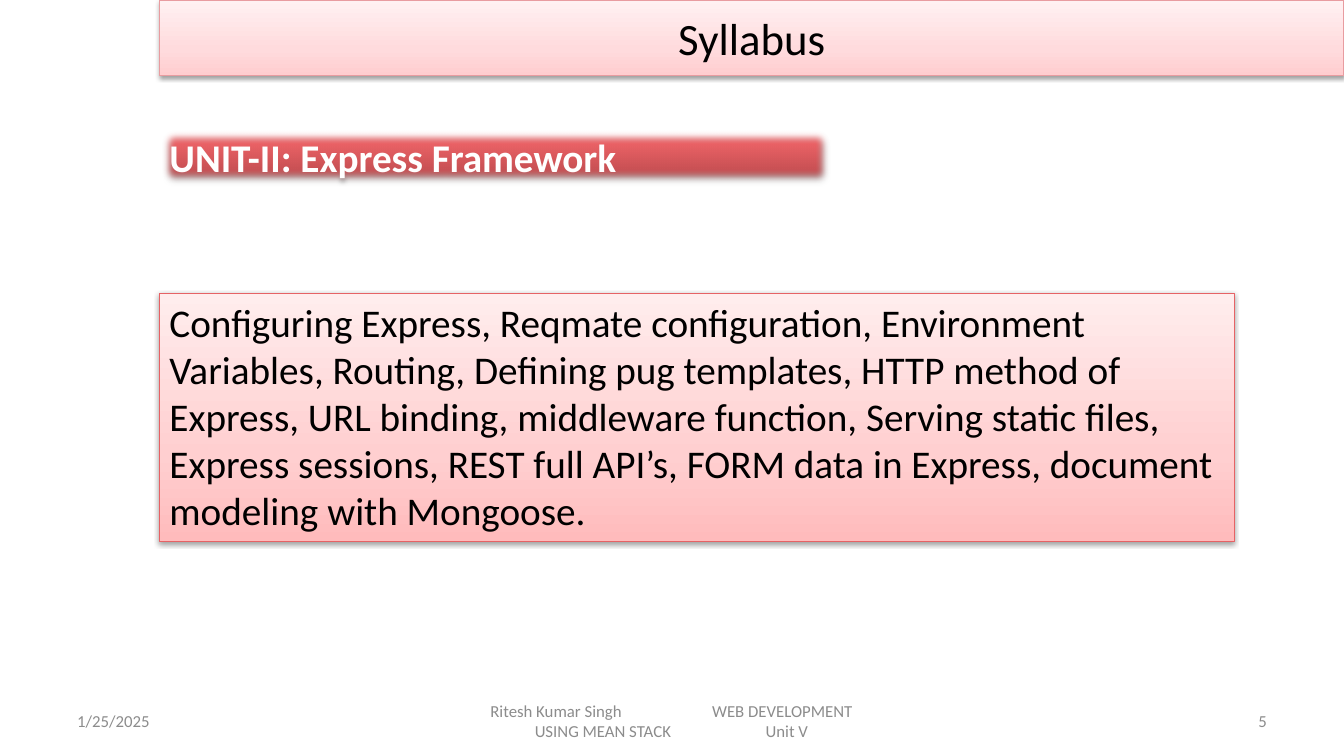
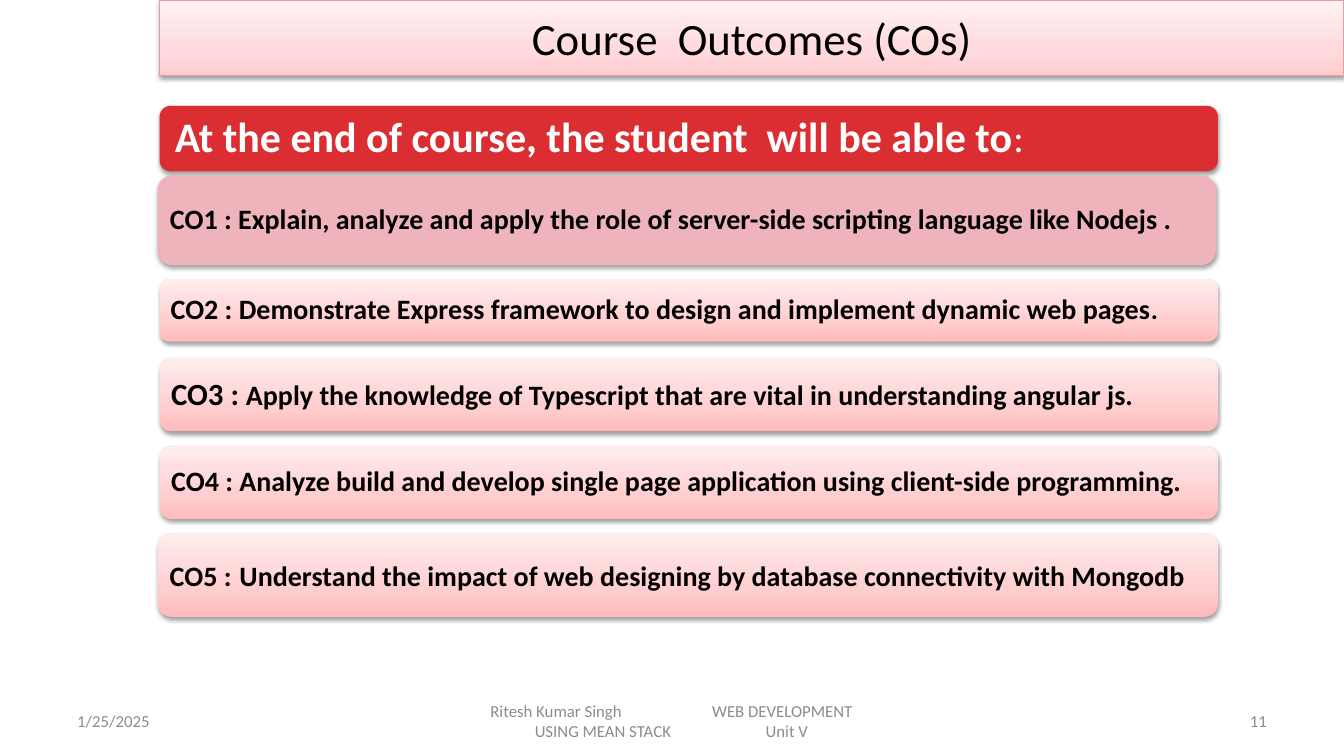
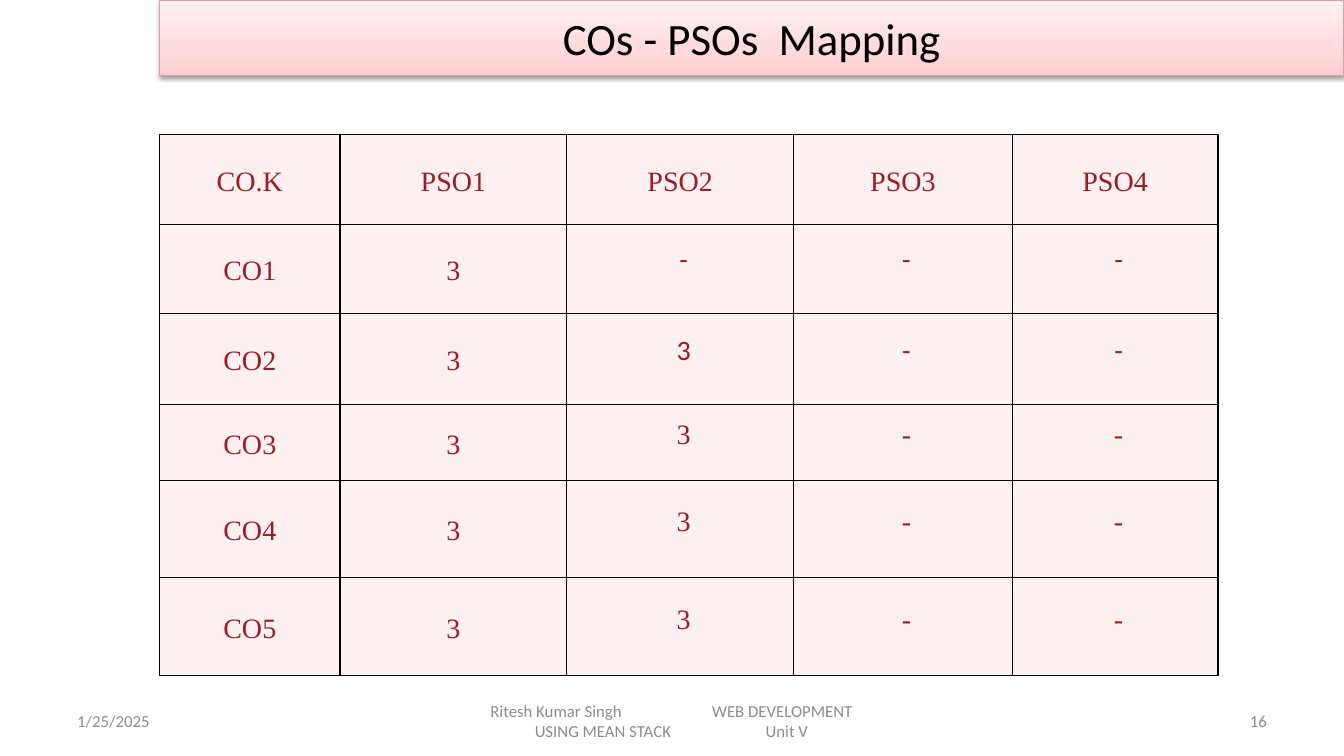
from copy import deepcopy

from pptx import Presentation
from pptx.dml.color import RGBColor
from pptx.enum import shapes, text
from pptx.oxml import parse_xml
from pptx.oxml.ns import nsdecls, qn
from pptx.util import Inches, Pt

SANS, SERIF = "Calibri", "Times New Roman"
BLACK, WHITE, GREY = "000000", "FFFFFF", "8C8C8C"
RED, ROSE = "DB2E32", "EEB3BB"
TITLE_LINE, PANEL_LINE = "E89CA0", "E66265"
CELL_FILL, CELL_TEXT = "FCF0F1", "9C1D23"
# Gradients run from bottom to top: (position, colour).
TITLE_FILL = ((0, "FFCDCF"), (0.35, "FFDBDD"), (1, "FFF1F2"))
PANEL_FILL = ((0, "FFBBBC"), (0.35, "FFCFD0"), (1, "FFEDED"))
UNIT_FILL = ((0, "B44649"), (0.8, "F16569"), (1, "F56367"))

SLIDE_WIDTH, SLIDE_HEIGHT = 40 / 3, 7.5
TITLE_WIDTH = 11.75
LEFT = SLIDE_WIDTH - TITLE_WIDTH
CENTER, RIGHT = text.PP_ALIGN.CENTER, text.PP_ALIGN.RIGHT
MIDDLE, TOP = text.MSO_ANCHOR.MIDDLE, text.MSO_ANCHOR.TOP
RECT, ROUNDED = shapes.MSO_SHAPE.RECTANGLE, shapes.MSO_SHAPE.ROUNDED_RECTANGLE


def rgb(color):
    return RGBColor.from_string(color)


def write(para, content, size=20, color=BLACK, font=SANS, bold=False,
          align=None, spacing=None, tabs=()):
    """Fill a paragraph with a string or with (string, format) spans."""
    if tabs:
        stops = "".join(f'<a:tab pos="{Inches(stop)}" algn="l"/>' for stop in tabs)
        para._p.get_or_add_pPr().append(
            parse_xml(f"<a:tabLst {nsdecls('a')}>{stops}</a:tabLst>"))
    para.alignment = align
    para.line_spacing = spacing
    spans = [(content, {})] if isinstance(content, str) else content
    for words, changes in spans:
        span = para.add_run()
        span.text = words
        span.font.name = font
        span.font.size = Pt(changes.get("size", size))
        span.font.bold = changes.get("bold", bold)
        span.font.color.rgb = rgb(color)


def set_frame(frame, anchor=MIDDLE, inset=(0.1, 0.05)):
    frame.word_wrap = True
    frame.vertical_anchor = anchor
    frame.margin_left = frame.margin_right = Inches(inset[0])
    frame.margin_top = frame.margin_bottom = Inches(inset[1])


def paint(shape, fill):
    """Fill with one colour, or with gradient stops from bottom to top."""
    if isinstance(fill, str):
        shape.fill.solid()
        shape.fill.fore_color.rgb = rgb(fill)
        return
    shape.fill.gradient()
    shape.fill.gradient_angle = 90
    stop_list = shape._element.spPr.find(".//" + qn("a:gsLst"))
    while len(stop_list) < len(fill):
        stop_list.append(deepcopy(stop_list[0]))
    for stop, (position, color) in zip(shape.fill.gradient_stops, fill):
        stop.position = position
        stop.color.rgb = rgb(color)


def add_effects(shape, soft_edge=0):
    shape.shadow.inherit = False
    effects = shape._element.spPr.find(qn("a:effectLst"))
    effects.append(parse_xml(
        f'<a:outerShdw {nsdecls("a")} blurRad="{Pt(3.1)}" dist="{Pt(1.7)}" '
        'dir="5400000" rotWithShape="0"><a:srgbClr val="000000">'
        '<a:alpha val="37000"/></a:srgbClr></a:outerShdw>'))
    if soft_edge:
        effects.append(parse_xml(
            f'<a:softEdge {nsdecls("a")} rad="{Pt(soft_edge)}"/>'))


def add_panel(page, box, content, fill, kind=RECT, line=None, soft_edge=0,
              anchor=MIDDLE, inset=(0.1, 0.05), **style):
    panel = page.shapes.add_shape(kind, *map(Inches, box))
    paint(panel, fill)
    if line:
        panel.line.color.rgb = rgb(line)
        panel.line.width = Pt(0.75)
    else:
        panel.line.fill.background()
    add_effects(panel, soft_edge)
    set_frame(panel.text_frame, anchor, inset)
    style.setdefault("align", text.PP_ALIGN.LEFT)
    write(panel.text_frame.paragraphs[0], content, **style)


def add_footer(page, number, top=6.95, height=0.4):
    margin, side, middle = SLIDE_WIDTH / 20, 3.11, 4.22
    footer_parts = (
        (margin, side, [("1/25/2025", {})]),
        ((SLIDE_WIDTH - middle) / 2, middle, [
            ("\tRitesh Kumar Singh\tWEB DEVELOPMENT", {"tabs": (0.21, 2.41)}),
            ("\tUSING MEAN STACK\tUnit V", {"tabs": (0.65, 2.94)})]),
        (SLIDE_WIDTH - margin - side, side, [(str(number), {"align": RIGHT})]),
    )
    for left, width, lines in footer_parts:
        box = page.shapes.add_textbox(*map(Inches, (left, top, width, height)))
        set_frame(box.text_frame)
        for index, (words, style) in enumerate(lines):
            para = (box.text_frame.add_paragraph() if index
                    else box.text_frame.paragraphs[0])
            write(para, words, size=12, color=GREY, **style)


def add_page(deck, title, number):
    """Add a slide with the shared footer and title band."""
    page = deck.slides.add_slide(deck.slide_layouts[6])
    add_footer(page, number)
    add_panel(page, (LEFT, 0, TITLE_WIDTH, 0.75), title, TITLE_FILL,
              line=TITLE_LINE, size=32, align=CENTER)
    return page


def add_syllabus(page, left, top):
    add_panel(page, (left, top, 6.67, 0.57), "UNIT-II: Express Framework",
              UNIT_FILL, soft_edge=6.25, anchor=TOP, size=28, color=WHITE,
              bold=True)
    add_panel(page, (left, top + 1.64, 10.66, 2.46),
              "Configuring Express, Reqmate configuration, Environment Variables, "
              "Routing, Defining pug templates, HTTP method of Express, URL binding, "
              "middleware function, Serving static files, Express sessions, REST full "
              "API’s, FORM data in Express, document modeling with Mongoose.",
              PANEL_FILL, line=PANEL_LINE, anchor=TOP, size=28)


def add_outcomes(page, left, top, width):
    add_panel(page, (left, top, width, 0.65),
              [("At the end of course, the student  will be able to", {}),
               (":", {"size": 28, "bold": False})],
              RED, kind=ROUNDED, inset=(0.12, 0.12), size=30, color=WHITE,
              bold=True, spacing=0.9)
    outcomes = (  # left shift, top from heading, extra width, height, fill, text
        (-0.02, 0.69, 0, 0.89, ROSE,
         "CO1 : Explain, analyze and apply the role of server-side scripting "
         "language like Nodejs ."),
        (0, 1.72, 0, 0.62, PANEL_FILL,
         [("CO2 : Demonstrate Express framework to design and implement dynamic "
           "web pages", {}), (".", {"size": 19})]),
        (0, 2.51, 0, 0.72, PANEL_FILL,
         [("CO3 : ", {"size": 22}),
          ("Apply the knowledge of Typescript that are vital in understanding "
           "angular js.", {})]),
        (0, 3.38, 0, 0.72, PANEL_FILL,
         "CO4 : Analyze build and develop single page application using "
         "client-side programming."),
        (-0.02, 4.24, 0.02, 0.83, PANEL_FILL,
         [("CO5 :", {}), (" ", {"size": 25}),
          ("Understand the impact of web designing by database connectivity "
           "with Mongodb", {})]),
    )
    for shift, offset, extra, height, fill, content in outcomes:
        add_panel(page, (left + shift, top + offset, width + extra, height),
                  content, fill, kind=ROUNDED, inset=(0.08, 0.08), bold=True,
                  spacing=0.9)


def add_borders(cell):
    properties = cell._tc.get_or_add_tcPr()
    for side in ("lnL", "lnR", "lnT", "lnB"):
        properties.append(parse_xml(
            f'<a:{side} {nsdecls("a")} w="{Pt(1)}"><a:solidFill>'
            f'<a:srgbClr val="{BLACK}"/></a:solidFill></a:{side}>'))


def add_mapping(page, left, top):
    widths = (1.79, 2.25, 2.25, 2.17, 2.04)
    heights = (0.89, 0.89, 0.9, 0.75, 0.97, 0.97)
    levels = ("3---", "33--", "33--", "33--", "33--")
    rows = [("CO.K", "PSO1", "PSO2", "PSO3", "PSO4")]
    rows += [(f"CO{index}", *marks) for index, marks in enumerate(levels, 1)]
    table = page.shapes.add_table(
        len(rows), len(widths),
        *map(Inches, (left, top, sum(widths), sum(heights)))).table
    table.first_row = table.horz_banding = False
    for column, width in zip(table.columns, widths):
        column.width = Inches(width)
    for r, (values, height) in enumerate(zip(rows, heights)):
        table.rows[r].height = Inches(height)
        for c, value in enumerate(values):
            cell = table.cell(r, c)
            add_borders(cell)
            cell.fill.solid()
            cell.fill.fore_color.rgb = rgb(CELL_FILL)
            cell.vertical_anchor = MIDDLE
            cell.margin_left = cell.margin_right = Inches(0.07)
            cell.margin_top = cell.margin_bottom = 0
            tight = r > 0 and c > 1
            para = cell.text_frame.paragraphs[0]
            if tight:
                para._p.get_or_add_pPr().set("marL", str(Inches(0.07)))
            write(para, value, color=CELL_TEXT, align=CENTER,
                  font=SANS if tight and r < 3 else SERIF,
                  spacing=Pt(12.3) if tight else 1.15)


def main():
    deck = Presentation()
    deck.slide_width, deck.slide_height = Inches(SLIDE_WIDTH), Inches(SLIDE_HEIGHT)
    add_syllabus(add_page(deck, "Syllabus", 5), LEFT, 1.27)
    add_outcomes(add_page(deck, "Course  Outcomes (COs)", 11), LEFT, 1.05, 10.5)
    add_mapping(add_page(deck, "COs - PSOs  Mapping", 16), LEFT, SLIDE_WIDTH / 10)
    deck.save("out.pptx")


if __name__ == "__main__":
    main()
